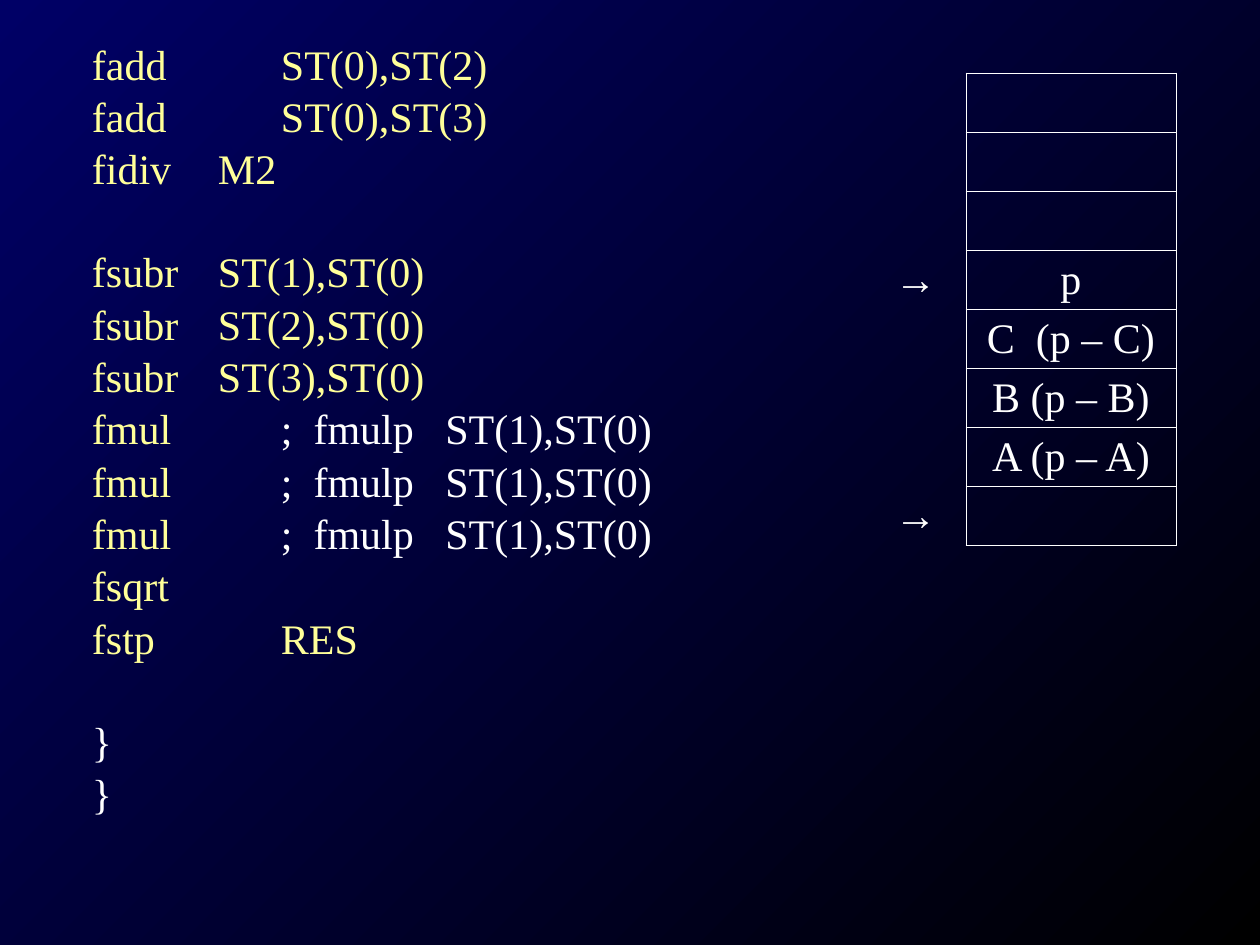
from pptx import Presentation
from pptx.dml.color import RGBColor as Rgb
from pptx.enum.text import MSO_ANCHOR as Anchor, PP_ALIGN as Align
from pptx.oxml.ns import qn
from pptx.util import Pt
from lxml.etree import SubElement as Sub

PX = 914400 / 126
FONT = "Times New Roman"
HUES = {"navy": "000066", "black": "000000", "code": "FFFF99", "plain": "FFFFFF"}
NOTE = ";  fmulp   ST(1),ST(0)"
CODE = [
    ("fadd\t\tST(0),ST(2)", ""),
    ("fadd\t\tST(0),ST(3)", ""),
    ("fidiv\tM2", ""),
    ("fsubr\tST(1),ST(0)", ""),
    ("fsubr\tST(2),ST(0)", ""),
    ("fsubr\tST(3),ST(0)", ""),
    *[("fmul\t\t", NOTE)] * 3,
    ("fsqrt", ""),
    ("fstp\t\tRES", ""),
    ("", "}"),
    ("", "}"),
]
GAPS = {0: 4, 3: 29.9, 11: 29.9}
STACK = [
    ("", ""), ("", ""), ("", ""), ("→", "p"),
    ("", "C  (p – C)"), ("", "B (p – B)"), ("", "A (p – A)"), ("→", ""),
]


def px(num):
    """Turn px into EMU."""
    return round(num * PX)


def add_run(para, text, hue):
    """Add one run of 24 pt text."""
    run = para.add_run()
    run.text = text
    run.font.name, run.font.size = FONT, Pt(24)
    run.font.color.rgb = Rgb.from_string(HUES[hue])


def paint(slide):
    """Fill the background with a diagonal gradient."""
    fill = slide.background.fill
    fill.gradient()
    fill.gradient_angle = 315
    for stop, hue in zip(fill.gradient_stops, ("navy", "black")):
        stop.color.rgb = Rgb.from_string(HUES[hue])


def add_code(slide, left, top, width, height):
    """Write the code lines in the given box."""
    box = slide.shapes.add_textbox(px(left), px(top), px(width), px(height))
    frame = box.text_frame
    frame.word_wrap = True
    frame.margin_left = px(60)
    for num, (code, note) in enumerate(CODE):
        para = frame.add_paragraph() if num else frame.paragraphs[0]
        para.space_before = Pt(GAPS.get(num, 1.15))
        for text, hue in ((code, "code"), (note, "plain")):
            if text:
                add_run(para, text, hue)


def edge(cell, shown):
    """Draw the sides of a cell that are named in shown."""
    props = cell._tc.get_or_add_tcPr()
    for num, side in enumerate("LRTB"):
        line = props.makeelement(qn(f"a:ln{side}"), {"w": str(Pt(0.45))})
        props.insert(num, line)
        if side in shown:
            Sub(Sub(line, qn("a:solidFill")), qn("a:srgbClr"), val=HUES["plain"])
        else:
            Sub(line, qn("a:noFill"))


def add_stack(slide, left, top, width, height):
    """Draw the register stack with its pointer column."""
    rows = len(STACK)
    table = slide.shapes.add_table(
        rows, 2, px(left), px(top), px(width), px(height)).table
    table.first_row = table.horz_banding = False
    table.columns[0].width = px(84)
    table.columns[1].width = px(width - 84)
    for row, texts in enumerate(STACK):
        table.rows[row].height = px(height / rows)
        for col, text in enumerate(texts):
            cell = table.cell(row, col)
            cell.fill.background()
            cell.vertical_anchor = Anchor.MIDDLE
            cell.margin_top = cell.margin_bottom = 0
            edge(cell, "LRTB" if col else "R")
            para = cell.text_frame.paragraphs[0]
            para.alignment = Align.CENTER if col else Align.LEFT
            if text:
                add_run(para, text, "plain")


def main():
    """Build the slide and save it."""
    deck = Presentation()
    deck.slide_width, deck.slide_height = px(1260), px(945)
    slide = deck.slides.add_slide(deck.slide_layouts[6])
    paint(slide)
    add_code(slide, 32, 32, 819, 882)
    add_stack(slide, 882, 73, 294, 473)
    deck.save("out.pptx")


if __name__ == "__main__":
    main()
